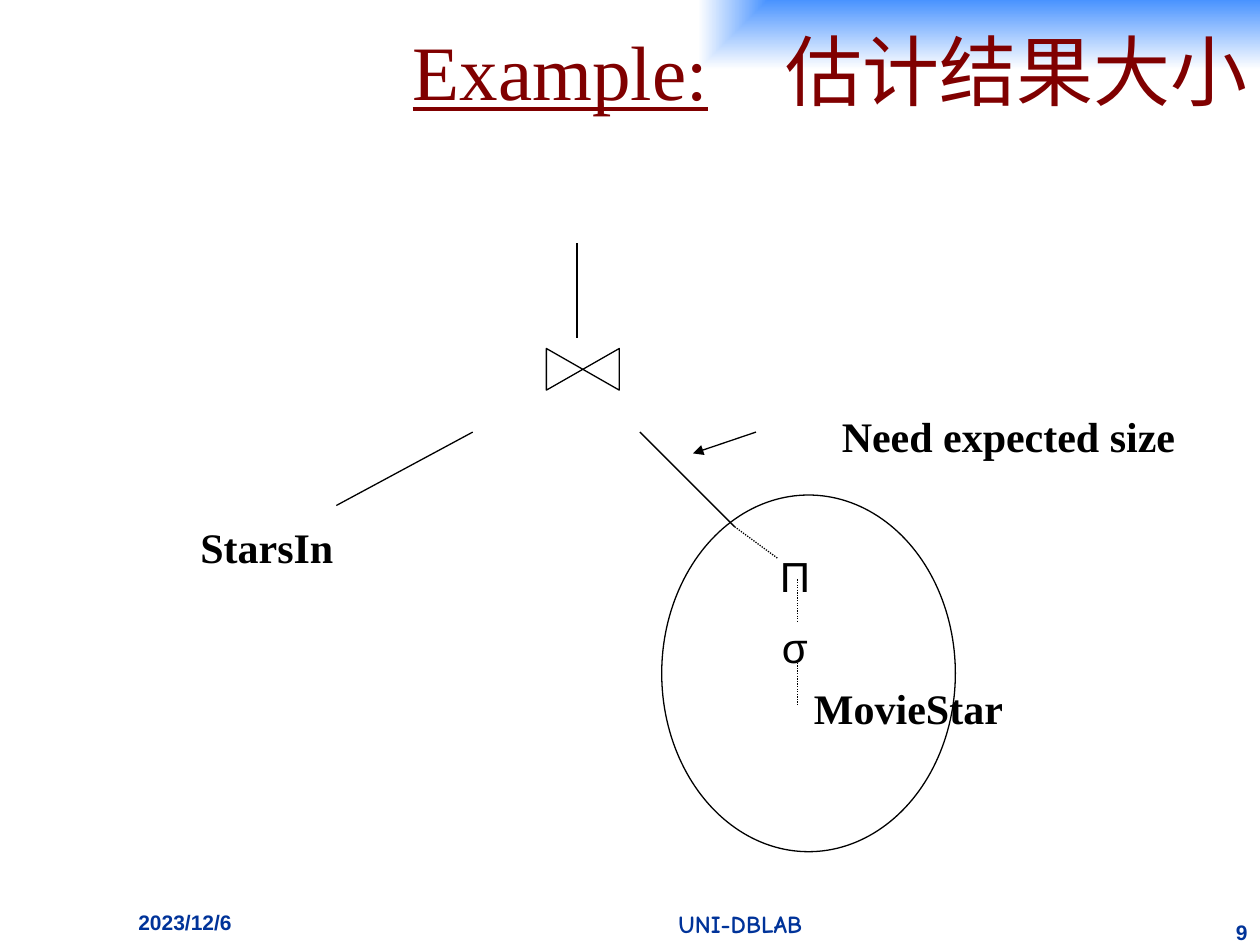
from lxml import etree
from pptx import Presentation
from pptx import util as u
from pptx.dml.color import RGBColor
from pptx.enum import dml, shapes, text
from pptx.oxml.ns import qn

COLORS = {"ink": "000000", "paper": "FFFFFF", "footer": "003399",
          "title": "800000", "sky": "3F8DFF"}
SERIF = "Times New Roman"
LEFT, CENTER, RIGHT = text.PP_ALIGN.LEFT, text.PP_ALIGN.CENTER, text.PP_ALIGN.RIGHT
TOP, MIDDLE = text.MSO_ANCHOR.TOP, text.MSO_ANCHOR.MIDDLE


def rgb(name):
    return RGBColor.from_string(COLORS[name])


def add_label(box, lines, size, font, color="ink", bold=False, align=LEFT,
              anchor=TOP, inset=0.0, gap=0):
    """Add a text box with one paragraph per line, gap points apart."""
    tf = s.shapes.add_textbox(*map(u.Cm, box)).text_frame
    tf.word_wrap = True
    tf.vertical_anchor = anchor
    tf.margin_left = tf.margin_right = u.Cm(inset)
    tf.margin_top = tf.margin_bottom = u.Cm(inset / 2)
    for i, line in enumerate(lines):
        p = tf.add_paragraph() if i else tf.paragraphs[0]
        p.text = line
        p.alignment = align
        p.space_before = u.Pt(gap if i else 0)
        p.font.size, p.font.name, p.font.bold = u.Pt(size), font, bold
        p.font.color.rgb = rgb(color)


prs = Presentation()
prs.slide_width, prs.slide_height = u.Cm(25.4), u.Cm(19.05)
s = prs.slides.add_slide(prs.slide_layouts[6])

# Footer
for box, line, size, font, align in [
    ((2.54, 18.21, 4.45, 0.84), "2023/12/6", 12, "Arial", LEFT),
    ((8.89, 18.21, 12.07, 0.84), "UNI-DBLAB", 14, "Comic Neue", CENTER),
    ((24.33, 18.42, 1.07, 0.63), "9", 12, "Arial", RIGHT),
]:
    add_label(box, [line], size, font, "footer", True, align, inset=0.25)

# Subquery circle and join symbol
for kind, box, turn in [
    (shapes.MSO_SHAPE.OVAL, (13.34, 9.98, 5.92, 7.19), 0),
    (shapes.MSO_SHAPE.FLOWCHART_COLLATE, (11.33, 6.71, 0.84, 1.47), 270),
]:
    sp = s.shapes.add_shape(kind, *map(u.Cm, box))
    sp.rotation = turn
    sp.shadow.inherit = False
    sp.fill.solid()
    sp.fill.fore_color.rgb = rgb("paper")
    sp.line.color.rgb = rgb("ink")
    sp.line.width = u.Pt(0.75)

# Tree labels
for x, y, width, line in [
    (16.97, 8.29, 8, "Need expected size"),
    (4.04, 10.52, 4, "StarsIn"),
    (16.41, 13.77, 5, "MovieStar"),
]:
    add_label((x, y, width, 1), [line], 24, SERIF, bold=True, anchor=MIDDLE)
add_label((15.44, 11.1, 1.17, 2.4), ["Π", "σ"], 24, "Arial", align=CENTER, gap=12)

# Tree edges and pointer
for x1, y1, x2, y2, style in [
    (9.53, 8.71, 6.78, 10.19, "solid"),
    (11.63, 4.9, 11.63, 6.81, "solid"),
    (12.9, 8.71, 14.81, 10.62, "solid"),
    (14.81, 10.62, 15.67, 11.25, "dotted"),
    (16.08, 13.36, 16.08, 14.22, "dotted"),
    (16.08, 11.68, 16.08, 12.52, "dotted"),
    (15.24, 8.71, 13.97, 9.14, "arrow"),
]:
    edge = s.shapes.add_connector(shapes.MSO_CONNECTOR.STRAIGHT,
                                  *map(u.Cm, (x1, y1, x2, y2)))
    edge.line.color.rgb = rgb("ink")
    edge.line.width = u.Pt(0.75)
    if style == "dotted":
        edge.line.dash_style = dml.MSO_LINE.ROUND_DOT
    if style == "arrow":
        ln = edge.line.fill._xPr
        etree.SubElement(ln, qn("a:tailEnd"), type="triangle")
    etree.SubElement(edge._element.spPr, qn("a:effectLst"))

# Title band, its gradient spreading from the top right corner
band = s.shapes.add_shape(shapes.MSO_SHAPE.RECTANGLE,
                          *map(u.Cm, (2.74, -0.08, 22.66, 2.97)))
band.shadow.inherit = False
band.line.fill.background()
band.fill.gradient()
for stop, position, name in zip(band.fill.gradient_stops, (0, 1), ("sky", "paper")):
    stop.position = position
    stop.color.rgb = rgb(name)
grad = band._element.spPr.find(qn("a:gradFill"))
grad.remove(grad.find(qn("a:lin")))
path = etree.SubElement(grad, qn("a:path"), path="rect")
etree.SubElement(path, qn("a:fillToRect"), l="100000", b="100000")

tf = band.text_frame
tf.vertical_anchor = MIDDLE
p = tf.paragraphs[0]
p.alignment = RIGHT
p.font.size = u.Pt(44)
p.font.color.rgb = rgb("title")
for words, font, underline in [("Example:", SERIF, True),
                               ("　估计结果大小", "Noto Sans CJK SC", False)]:
    r = p.add_run()
    r.text = words
    r.font.name, r.font.underline = font, underline
    etree.SubElement(r.font._element, qn("a:ea"), typeface=font)

prs.save("out.pptx")
